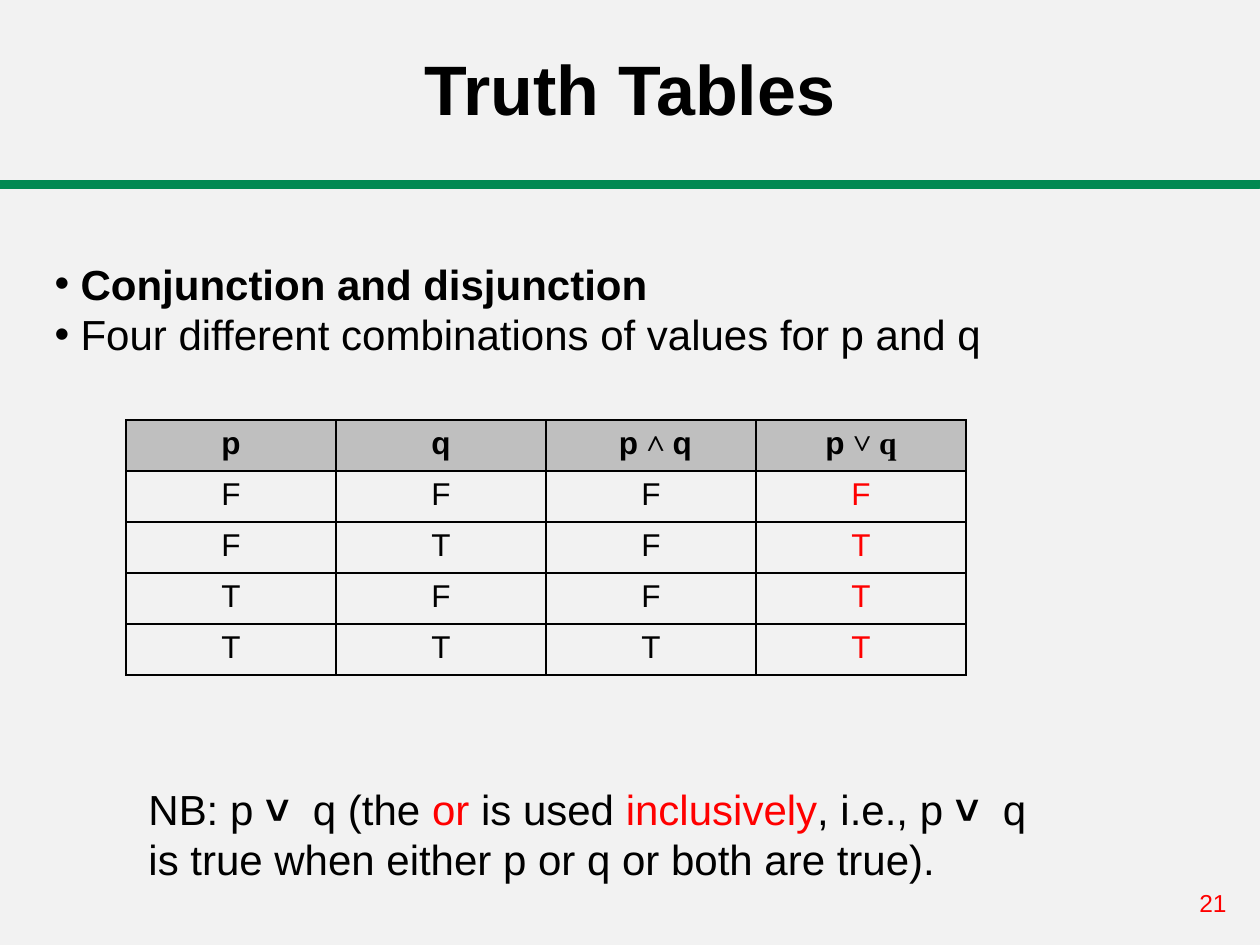
from dataclasses import dataclass
from itertools import product

from lxml.etree import SubElement
from pptx import Presentation
from pptx.dml.color import RGBColor
from pptx.enum.shapes import MSO_SHAPE
from pptx.enum.text import MSO_ANCHOR, MSO_AUTO_SIZE, PP_ALIGN
from pptx.oxml import parse_xml
from pptx.oxml.ns import nsdecls, qn
from pptx.util import Pt

EMU_PER_PX = 914400 / 126


def px(n):
    return round(n * EMU_PER_PX)


@dataclass(frozen=True)
class Theme:
    font: str = "Arial"
    symbol_font: str = "Times New Roman"
    ink: str = "000000"
    accent: str = "FF0000"
    green: str = "018952"
    paper: str = "F2F2F2"
    header: str = "BFBFBF"
    title: int = 40
    body: int = 24
    cell: int = 18
    number: int = 14


def add_runs(p, runs, size, theme, bold=False, color=None):
    """Add runs to p; each is a string or a (string, format) pair."""
    for run in [runs] if isinstance(runs, str) else runs:
        text, fmt = (run, {}) if isinstance(run, str) else run
        r = p.add_run()
        r.text = text
        r.font.size = Pt(size)
        r.font.name = fmt.get("font", theme.font)
        r.font.bold = fmt.get("bold", bold)
        r.font.color.rgb = RGBColor.from_string(fmt.get("color", color or theme.ink))


def set_bullet(p, indent):
    pPr = p._p.get_or_add_pPr()
    pPr.set("marL", str(px(indent)))
    pPr.set("indent", str(-px(indent)))
    SubElement(pPr, qn("a:buChar"), char="•")


def set_borders(cell, color, width):
    tcPr = cell._tc.get_or_add_tcPr()
    for i, side in enumerate(("lnL", "lnR", "lnT", "lnB")):
        tcPr.insert(i, parse_xml(
            f'<a:{side} {nsdecls("a")} w="{Pt(width)}"><a:solidFill>'
            f'<a:srgbClr val="{color}"/></a:solidFill></a:{side}>'))


class Deck:
    """Holds the theme and the current slide."""

    def __init__(self, prs, theme):
        self.theme = theme
        self.s = prs.slides.add_slide(prs.slide_layouts[1])
        fill = self.s.background.fill
        fill.solid()
        fill.fore_color.rgb = RGBColor.from_string(theme.paper)

    def place(self, sp, box):
        sp.left, sp.top, sp.width, sp.height = map(px, box)
        tf = sp.text_frame
        tf.word_wrap = True
        tf.auto_size = MSO_AUTO_SIZE.NONE
        return tf

    def bar(self, box, color):
        sp = self.s.shapes.add_shape(MSO_SHAPE.RECTANGLE, *map(px, box))
        sp.shadow.inherit = False
        sp.fill.solid()
        sp.fill.fore_color.rgb = sp.line.color.rgb = RGBColor.from_string(color)
        sp.line.width = Pt(1.75)

    def title(self, box, text):
        tf = self.place(self.s.shapes.title, box)
        tf.vertical_anchor = MSO_ANCHOR.BOTTOM
        p = tf.paragraphs[0]
        p.alignment = PP_ALIGN.CENTER
        add_runs(p, text, self.theme.title, self.theme, bold=True)

    def bullets(self, box, items, indent):
        tf = self.place(self.s.placeholders[1], box)
        tf.vertical_anchor = MSO_ANCHOR.TOP
        for i, (text, bold) in enumerate(items):
            p = tf.add_paragraph() if i else tf.paragraphs[0]
            p.space_before = Pt(0)
            set_bullet(p, indent)
            add_runs(p, text, self.theme.body, self.theme, bold=bold)

    def text(self, box, runs, size, **fmt):
        tf = self.place(self.s.shapes.add_textbox(0, 0, 0, 0), box)
        add_runs(tf.paragraphs[0], runs, size, self.theme, **fmt)

    def table(self, box, rows):
        """Draw rows with a shaded header and an accented last column."""
        th = self.theme
        n_cols = len(rows[0])
        tbl = self.s.shapes.add_table(len(rows), n_cols, *map(px, box)).table
        for i, row in enumerate(rows):
            for j, runs in enumerate(row):
                cell = tbl.cell(i, j)
                if i == 0:
                    cell.fill.solid()
                    cell.fill.fore_color.rgb = RGBColor.from_string(th.header)
                else:
                    cell.fill.background()
                set_borders(cell, th.ink, 1)
                p = cell.text_frame.paragraphs[0]
                p.alignment = PP_ALIGN.CENTER
                accented = i > 0 and j == n_cols - 1
                add_runs(p, runs, th.cell, th, bold=i == 0,
                         color=th.accent if accented else th.ink)


def truth_rows():
    for p, q in product((False, True), repeat=2):
        yield ["T" if v else "F" for v in (p, q, p and q, p or q)]


def main():
    prs = Presentation()
    prs.slide_width, prs.slide_height = px(1260), px(945)
    theme = Theme()
    deck = Deck(prs, theme)

    deck.bar((0, 182, 1260, 6), theme.green)
    deck.text((1187, 882, 73, 43), "21", theme.number, color=theme.accent)
    deck.title((0, 0, 1260, 136), "Truth Tables")
    deck.bullets((42, 252, 1176, 217), [
        ("Conjunction and disjunction", True),
        ("Four different combinations of values for p and q", False),
    ], indent=26)

    symbol = {"font": theme.symbol_font}
    header = ["p", "q", [" p ", ("˄ ", symbol), "q"], ["p ", ("˅ q", symbol)]]
    deck.table((126, 420, 840, 255), [header, *truth_rows()])

    red = {"color": theme.accent}
    vee = ("˅ ", {"bold": True})
    deck.text((136, 777, 924, 115), [
        "NB: p ", vee, " q (the ", ("or", red), " is used ", ("inclusively", red),
        ", i.e., p ", vee, " q is true when either p or q or both are true).",
    ], theme.body)

    prs.save("out.pptx")


if __name__ == "__main__":
    main()
